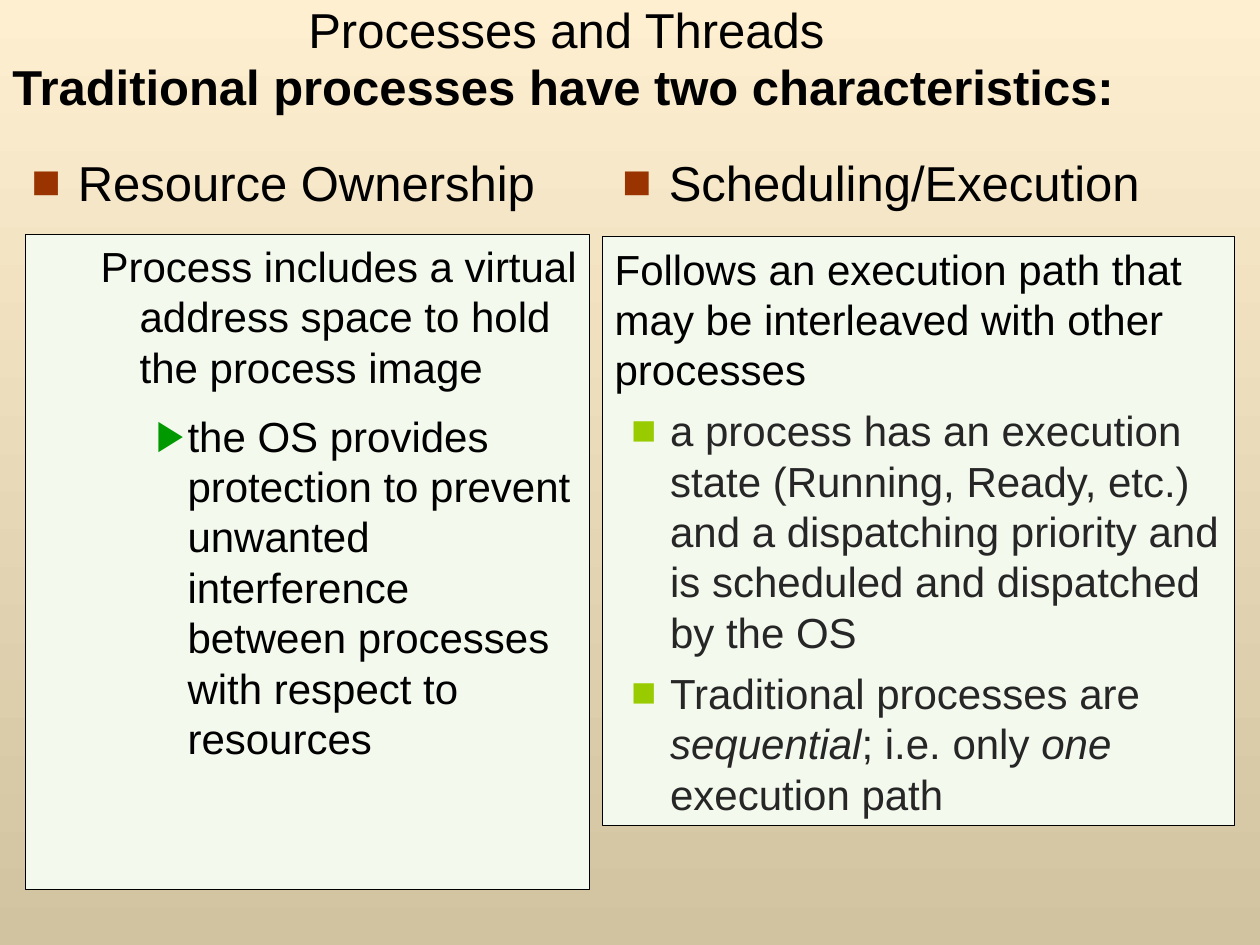
from lxml import etree
from pptx import Presentation
from pptx.dml.color import RGBColor
from pptx.enum import shapes, text
from pptx.oxml import ns
from pptx.util import Inches, Pt


def rgb(value):
    return RGBColor.from_string(value)


def write(sp, paragraphs, anchor="TOP", grow=False):
    """Fill a shape with (runs, format) pairs; runs marked with * are italic."""
    tf = sp.text_frame
    tf.word_wrap = True
    tf.vertical_anchor = getattr(text.MSO_ANCHOR, anchor)
    fit = text.MSO_AUTO_SIZE
    tf.auto_size = fit.SHAPE_TO_FIT_TEXT if grow else fit.NONE
    for i, (words, fmt) in enumerate(paragraphs):
        p = tf.paragraphs[0] if i == 0 else tf.add_paragraph()
        settings = {"alignment": text.PP_ALIGN.LEFT, "space_before": Pt(0)}
        settings.update(fmt.get("para", {}))
        for name, value in settings.items():
            setattr(p, name, value)
        pPr = p._p.get_or_add_pPr()
        margin, indent = fmt.get("indent", (0, 0))
        pPr.set("marL", str(Inches(margin)))
        pPr.set("indent", str(Inches(indent)))
        if "bullet" in fmt:
            char, color = fmt["bullet"]
            clr = etree.SubElement(pPr, ns.qn("a:buClr"))
            etree.SubElement(clr, ns.qn("a:srgbClr"), val=color)
            etree.SubElement(pPr, ns.qn("a:buFont"), typeface="Arial")
            etree.SubElement(pPr, ns.qn("a:buChar"), char=char)
        else:
            etree.SubElement(pPr, ns.qn("a:buNone"))
        for n, part in enumerate(words.split("*")):
            r = p.add_run()
            r.text = part
            font = {"name": "Arial", "size": Pt(fmt.get("size", 24)),
                    "bold": fmt.get("bold", False), "italic": n % 2 == 1}
            for name, value in font.items():
                setattr(r.font, name, value)
            r.font.color.rgb = rgb(fmt.get("color", "000000"))


prs = Presentation()
prs.slide_width, prs.slide_height = Inches(10), Inches(7.5)
s = prs.slides.add_slide(prs.slide_layouts[5])

# Background: vertical sand gradient
fill = s.background.fill
fill.gradient()
fill.gradient_angle = 270
for stop, color in zip(fill.gradient_stops, ("FFEFD1", "D1C39F")):
    stop.color.rgb = rgb(color)

# Title
title = s.shapes.title
box = {"left": 0.41, "top": 0.06, "width": 8.17, "height": 0.45}
for name, value in box.items():
    setattr(title, name, Inches(value))
write(title, [("Processes and Threads",
               {"size": 28, "para": {"alignment": text.PP_ALIGN.CENTER}})], "BOTTOM")

# Column headings
for left, heading in ((0.15, "Resource Ownership"), (4.84, "Scheduling/Execution")):
    sp = s.shapes.add_textbox(Inches(left), Inches(1.16), Inches(5.16), Inches(0.8))
    write(sp, [(heading, {"size": 28, "indent": (0.37, -0.37),
                          "bullet": ("■", "993300")})])

# Introductory line
sp = s.shapes.add_textbox(0, Inches(0.45), Inches(10), Inches(1.16))
write(sp, [("Traditional processes have two characteristics:",
            {"size": 28, "bold": True,
             "para": {"line_spacing": 0.9, "space_after": Pt(12.2)}})], grow=True)

# Column panels
ownership = [
    ("Process includes a virtual address space to hold the process image",
     {"indent": (0.81, -0.31), "para": {"level": 1}}),
    ("the OS provides protection to prevent unwanted interference between "
     "processes with respect to resources",
     {"indent": (1.19, -0.25), "bullet": ("▶", "009900"),
      "para": {"level": 2, "space_before": Pt(10.5)}}),
]
point = {"indent": (0.44, -0.31), "bullet": ("■", "99CC00"), "color": "262626",
         "para": {"level": 1, "space_before": Pt(6)}}
execution = [
    ("Follows an execution path that may be interleaved with other processes", {}),
    ("a process has an execution state (Running, Ready, etc.) and a dispatching "
     "priority and is scheduled and dispatched by the OS", point),
    ("Traditional processes are *sequential*; i.e. only *one* execution path", point),
]
panels = [((0.2, 1.86, 4.48, 5.2), ownership, False),
          ((4.78, 1.88, 5.02, 4.67), execution, True)]
for place, paragraphs, grow in panels:
    sp = s.shapes.add_shape(shapes.MSO_SHAPE.RECTANGLE, *map(Inches, place))
    sp.shadow.inherit = False
    sp.fill.solid()
    sp.fill.fore_color.rgb = rgb("F4F9EE")
    sp.line.color.rgb = rgb("000000")
    sp.line.width = Pt(0.75)
    write(sp, paragraphs, grow=grow)

prs.save("out.pptx")
